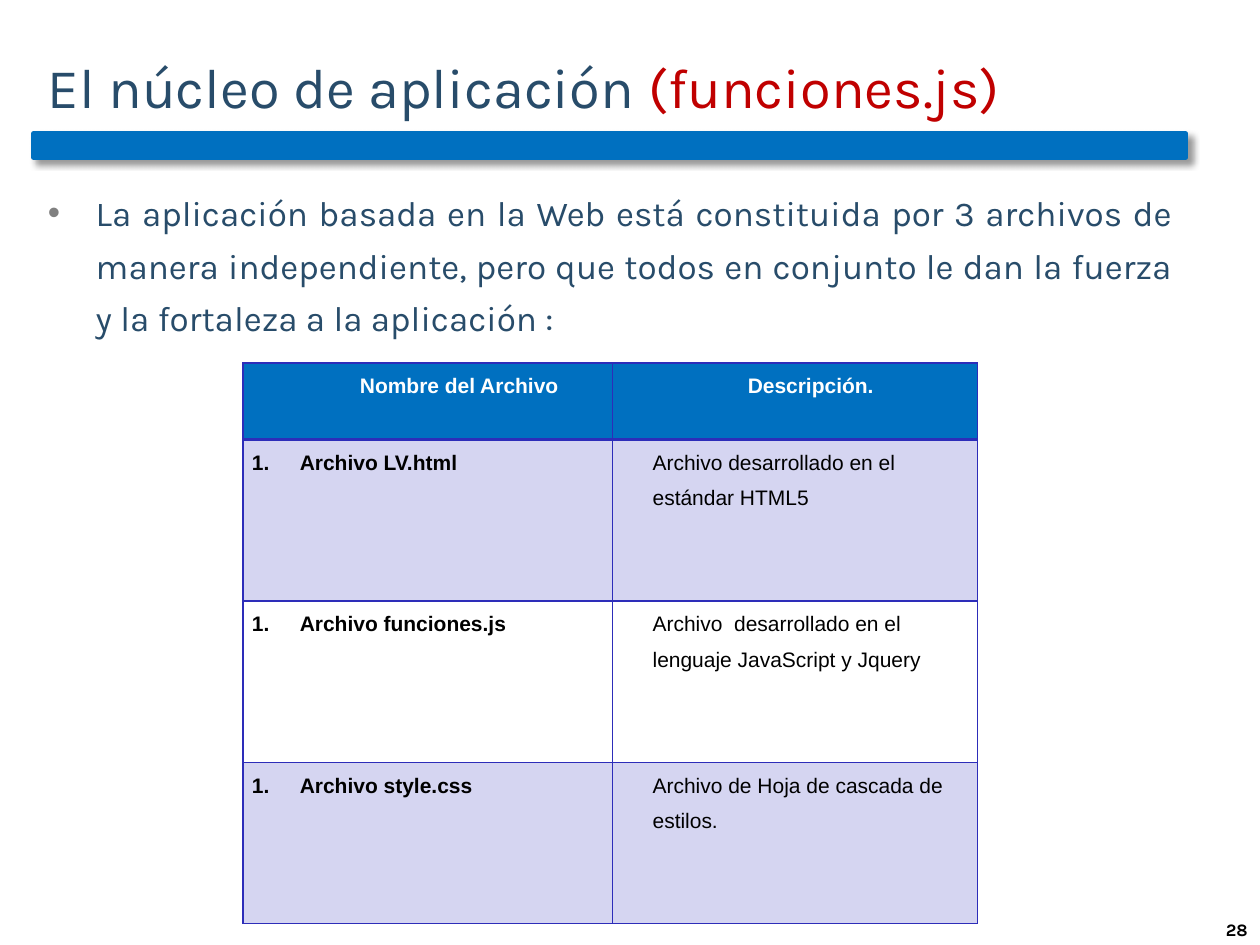
import pptx
import pptx.util
import pptx.dml.color
import pptx.enum.shapes
import pptx.enum.text
import pptx.oxml
import pptx.oxml.ns

RGBColor = pptx.dml.color.RGBColor
ALIGN = pptx.enum.text.PP_ALIGN
ANCHOR = pptx.enum.text.MSO_ANCHOR
Pt = pptx.util.Pt

NAVY = RGBColor(0x28, 0x4C, 0x6A)
RED = RGBColor(0xC0, 0x00, 0x00)
BLUE = RGBColor(0x00, 0x70, 0xC0)
INDIGO = RGBColor(0x2D, 0x2D, 0xB9)
GREY = RGBColor(0x80, 0x80, 0x80)
BLACK = RGBColor(0, 0, 0)
WHITE = RGBColor(255, 255, 255)

COLUMNS, ROWS = 100, 75  # grid cells of a tenth of an inch
HEADER = ("Nombre del Archivo", "Descripción.")
FILES = [
    ("Archivo LV.html", "Archivo desarrollado en el estándar HTML5"),
    ("Archivo funciones.js",
     "Archivo  desarrollado en el lenguaje JavaScript y Jquery"),
    ("Archivo style.css", "Archivo de Hoja de cascada de estilos."),
]


def add_xml(parent, xml):
    """Append a DrawingML fragment to an element."""
    ns = pptx.oxml.ns.nsdecls("a")
    tag, rest = xml[1:].split(" ", 1)
    parent.append(pptx.oxml.parse_xml(f"<{tag} {ns} {rest}"))


class Deck:
    """Style, grid and current slide."""

    heading_font, table_font = "Karla", "Arial"

    def __init__(self):
        """Start a presentation with one title-and-content slide."""
        self.prs = pptx.Presentation()
        self.prs.slide_width = pptx.util.Inches(10)
        self.prs.slide_height = pptx.util.Inches(7.5)
        self.s = self.prs.slides.add_slide(self.prs.slide_layouts[1])

    def x(self, columns):
        """Turn grid columns into a length."""
        return round(self.prs.slide_width * columns / COLUMNS)

    def y(self, rows):
        """Turn grid rows into a length."""
        return round(self.prs.slide_height * rows / ROWS)

    def box(self, left, top, width, height):
        """Turn a grid rectangle into four lengths."""
        return self.x(left), self.y(top), self.x(width), self.y(height)

    def place(self, sp, *box):
        """Move a placeholder to a grid rectangle."""
        sp.left, sp.top, sp.width, sp.height = self.box(*box)

    def run(self, p, text, size, color, font=heading_font, bold=False):
        """Add one formatted run."""
        r = p.add_run()
        r.text = text
        r.font.name, r.font.size, r.font.bold = font, Pt(size), bold
        r.font.color.rgb = color

    def indent(self, p, left, hanging=0):
        """Set the left margin and hanging indent in columns."""
        pPr = p._p.get_or_add_pPr()
        pPr.set("marL", str(self.x(left)))
        pPr.set("indent", str(-self.x(hanging)))
        return pPr

    def title(self, *parts):
        """Fill the title with (text, colour) parts."""
        sp = self.s.shapes.title
        self.place(sp, 2.8, 1.3, 94.5, 11)
        tf = sp.text_frame
        tf.auto_size = pptx.enum.text.MSO_AUTO_SIZE.NONE
        tf.vertical_anchor = ANCHOR.MIDDLE
        p = tf.paragraphs[0]
        p.alignment = ALIGN.LEFT
        for text, color in parts:
            self.run(p, text, 32, color)

    def body(self, text):
        """Fill the body with one justified bullet."""
        sp = self.s.placeholders[1]
        self.place(sp, 2.8, 13.9, 91.3, 61.1)
        tf = sp.text_frame
        tf.auto_size = pptx.enum.text.MSO_AUTO_SIZE.NONE
        p = tf.paragraphs[0]
        p.alignment, p.line_spacing = ALIGN.JUSTIFY, 1.25
        pPr = self.indent(p, 3.8, 3.8)
        add_xml(pPr, f'<a:buClr ><a:srgbClr val="{GREY}"/></a:buClr>')
        add_xml(pPr, '<a:buFont typeface="Arial"/>')
        add_xml(pPr, '<a:buChar char="•"/>')
        self.run(p, text, 20, NAVY)

    def bar(self, *box):
        """Add the shadowed rule below the title."""
        sp = self.s.shapes.add_shape(
            pptx.enum.shapes.MSO_SHAPE.MATH_MINUS, *self.box(*box))
        sp.fill.solid()
        sp.fill.fore_color.rgb = BLUE
        sp.line.color.rgb = BLUE
        sp.line.width = Pt(3)
        sp.shadow.inherit = False
        effects = sp._element.spPr.find(pptx.oxml.ns.qn("a:effectLst"))
        add_xml(effects, f'<a:outerShdw blurRad="{Pt(4)}" dist="{Pt(3)}" '
                f'dir="2700000" algn="tl" rotWithShape="0"><a:srgbClr val="{BLACK}">'
                '<a:alpha val="40000"/></a:srgbClr></a:outerShdw>')

    def page_number(self, text):
        """Add the page number in the bottom right corner."""
        sp = self.s.shapes.add_textbox(*self.box(79.2, 72.5, 20.8, 2.5))
        tf = sp.text_frame
        tf.word_wrap, tf.vertical_anchor = True, ANCHOR.MIDDLE
        p = tf.paragraphs[0]
        p.alignment = ALIGN.RIGHT
        self.run(p, text, 10, BLACK, bold=True)

    def cell(self, cell, text, bottom=1, fill=None, alpha=100, color=BLACK,
             bold=False, align=ALIGN.LEFT, left=2.5, number=False):
        """Format one table cell with borders, fill and text."""
        cell.margin_left = cell.margin_right = self.x(0.7)
        cell.margin_top = cell.margin_bottom = 0
        tcPr = cell._tc.get_or_add_tcPr()
        for side, width in zip("LRTB", (1, 1, 1, bottom)):
            add_xml(tcPr, f'<a:ln{side} w="{Pt(width)}"><a:solidFill>'
                    f'<a:srgbClr val="{INDIGO}"/></a:solidFill></a:ln{side}>')
        if fill is None:
            cell.fill.background()
        else:
            cell.fill.solid()
            cell.fill.fore_color.rgb = fill
            clr = tcPr.find(".//" + pptx.oxml.ns.qn("a:solidFill")
                            + f"/..[last()]/{pptx.oxml.ns.qn('a:srgbClr')}")
            clr = tcPr.find(pptx.oxml.ns.qn("a:solidFill"))[0]
            if alpha < 100:
                add_xml(clr, f'<a:alpha val="{alpha * 1000}"/>')
        p = cell.text_frame.paragraphs[0]
        p.alignment, p.line_spacing = align, 1.5
        pPr = self.indent(p, left, left if number else 0)
        if number:
            add_xml(pPr, '<a:buFont typeface="+mj-lt"/>')
            add_xml(pPr, '<a:buAutoNum type="arabicPeriod"/>')
        self.run(p, text, 12, color, self.table_font, bold)

    def table(self, header, rows):
        """Add the table of files with shaded alternate rows."""
        frame = self.s.shapes.add_table(
            len(rows) + 1, len(header), *self.box(19.3, 28.8, 58.3, 44.5))
        tbl = frame.table
        tbl.horz_banding = False
        for column, width in zip(tbl.columns, (29.3, 29)):
            column.width = self.x(width)
        for i, row in enumerate(tbl.rows):
            row.height = self.y(12.8 if i else 6.1)
        for j, (text, left) in enumerate(zip(header, (5, 2.5))):
            self.cell(tbl.cell(0, j), text, bottom=2, fill=BLUE, color=WHITE,
                      bold=True, align=ALIGN.CENTER, left=left)
        for i, (name, description) in enumerate(rows, 1):
            shade = dict(fill=INDIGO, alpha=20) if i % 2 else {}
            self.cell(tbl.cell(i, 0), name, bold=True, align=ALIGN.JUSTIFY,
                      left=3.8, number=True, **shade)
            self.cell(tbl.cell(i, 1), description, **shade)


def main():
    """Build and save the slide."""
    deck = Deck()
    deck.title(("El núcleo de aplicación ", NAVY), ("(funciones.js)", RED))
    deck.bar(-13.8, 7.6, 124.4, 7.9)
    deck.body("La aplicación basada en la Web está constituida por 3 archivos "
              "de manera independiente, pero que todos en conjunto le dan la "
              "fuerza y la fortaleza a la aplicación :")
    deck.page_number("28")
    deck.table(HEADER, FILES)
    deck.prs.save("out.pptx")


main()
